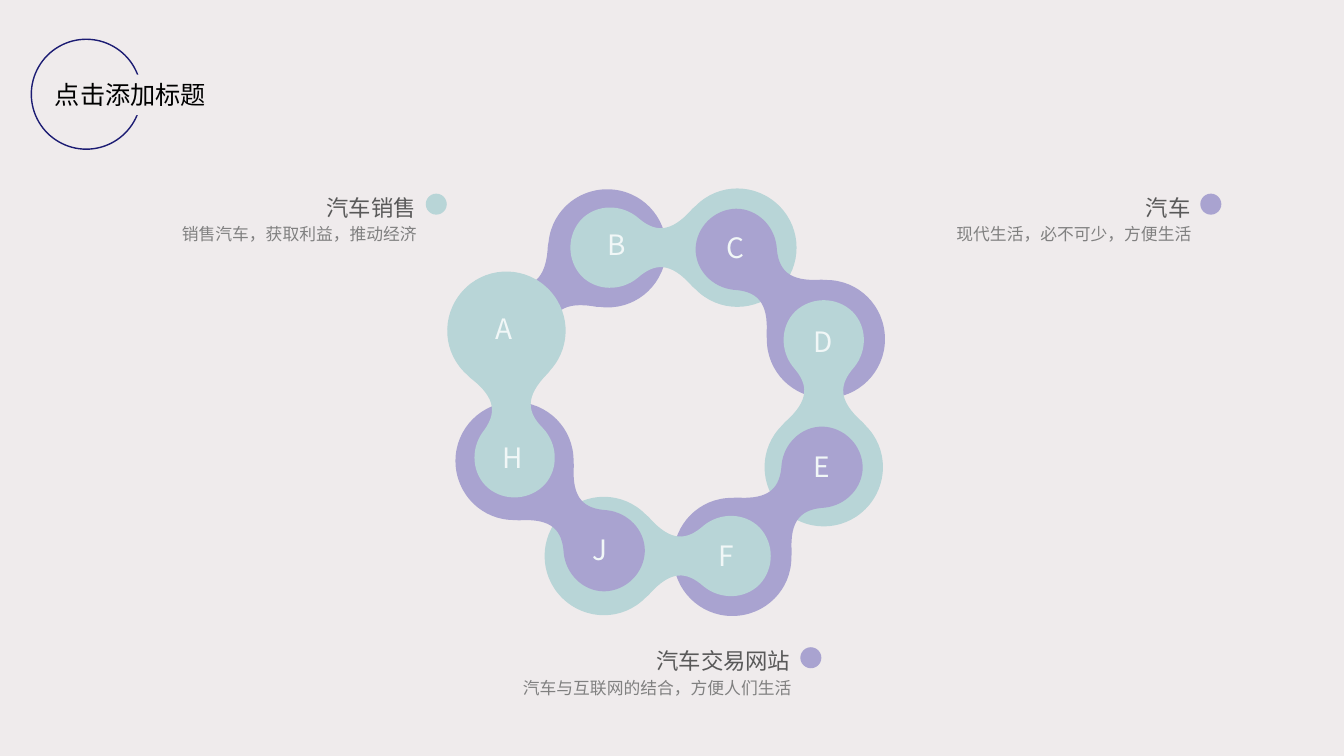
import math
import pptx
import pptx.dml.color
import pptx.enum.shapes
import pptx.enum.text
import pptx.oxml.ns
import pptx.util
import lxml.etree

Cm = pptx.util.Cm
Pt = pptx.util.Pt
RGBColor = pptx.dml.color.RGBColor
Shape = pptx.enum.shapes.MSO_SHAPE
Fit = pptx.enum.text.MSO_AUTO_SIZE
Side = pptx.enum.text.PP_ALIGN
Anchor = pptx.enum.text.MSO_ANCHOR
qn = pptx.oxml.ns.qn

PAPER = RGBColor(0xEF, 0xEB, 0xEC)
NAVY = RGBColor(0x1C, 0x1C, 0x73)
BLACK = RGBColor(0, 0, 0)
LILAC = RGBColor(0xA9, 0xA3, 0xD0)
MINT = RGBColor(0xB8, 0xD5, 0xD7)
WHITE = RGBColor(0xF1, 0xF7, 0xF7)
DARK = RGBColor(0x59, 0x59, 0x59)
GREY = RGBColor(0x80, 0x80, 0x80)
FACE = "Noto Sans CJK SC"

HALF = [(-1.09, 0.32), (-0.71, 0.72), (-0.33, 1.1), (0.28, 1.1), (0.69, 0.77),
        (1.12, 0.39), (1.52, 0.34), (2.08, 0.98), (2.11, 1), (2.13, 1.03),
        (2.16, 1.05), (2.74, 1.64), (3.68, 1.64), (4.27, 1.05), (4.85, 0.47)]
LINKS = [(1.54, 3.51, -38.5), (4.12, 1.49, 0), (7.29, 1.52, 45), (9.51, 3.81, 90),
         (9.48, 7.01, 135), (7.18, 9.26, 180), (3.99, 9.14, 225), (1.72, 6.79, 266.3)]
MARKS = [("C", 6.81, 0.99, 1.02), ("F", 6.61, 8.76, 1.07), ("E", 8.99, 6.5, 1.02),
         ("D", 8.99, 3.35, 1.02), ("A", 0.97, 3.02, 1.14), ("H", 1.15, 6.27, 1.14),
         ("J", 3.43, 8.59, 1.07), ("B", 3.81, 0.91, 0.66)]
NOTES = [((12.22, 16.18), "汽车交易网站", "汽车与互联网的结合，方便人们生活", LILAC),
         ((2.78, 4.75), "汽车销售", "销售汽车，获取利益，推动经济", MINT),
         ((22.3, 4.75), "汽车", "现代生活，必不可少，方便生活", LILAC)]


def apply(item, style):
    for name, value in style.items():
        setattr(item, name, value)


def margins(size):
    return {f"margin_{side}": Cm(size) for side in ("left", "top", "right", "bottom")}


def write(shape, text, size, color, frame, para):
    apply(shape.text_frame, frame)
    line = shape.text_frame.paragraphs[0]
    apply(line, para)
    run = line.add_run()
    run.text = text
    apply(run.font, {"size": Pt(size), "name": FACE})
    run.font.color.rgb = color
    east = lxml.etree.SubElement(run.font._element, qn("a:ea"))
    east.set("typeface", FACE)


def paint(shape, color):
    shape.shadow.inherit = False
    shape.fill.solid()
    shape.fill.fore_color.rgb = color
    shape.line.fill.background()


def bend(curve, t):
    parts = ((1 - t) ** 3, 3 * t * (1 - t) ** 2, 3 * t * t * (1 - t), t ** 3)
    return [sum(p * c[axis] for p, c in zip(parts, curve)) for axis in (0, 1)]


def add_link(slide, x, y, angle, color):
    cos, sin = math.cos(math.radians(angle)), math.sin(math.radians(angle))
    loop = HALF + [(u, -v) for u, v in reversed(HALF)]
    loop = [(Cm(x + u * cos - v * sin), Cm(y + u * sin + v * cos))
            for u, v in loop[1:] + loop[:2]]
    dots = [bend(loop[i:i + 4], step / 20) for i in range(0, 30, 3) for step in range(20)]
    low, high = [[int(pick(axis)) for axis in zip(*dots)] for pick in (min, max)]
    pen = slide.shapes.build_freeform(*low)
    pen.add_line_segments([high], close=True)
    shape = pen.convert_to_shape()
    route = shape.element.find(".//" + qn("a:path"))
    route[:] = []
    for start in range(-3, 30, 3):
        first = start < 0
        curve = lxml.etree.SubElement(route, qn("a:moveTo" if first else "a:cubicBezTo"))
        for u, v in loop[:1] if first else loop[start + 1:start + 4]:
            spot = lxml.etree.SubElement(curve, qn("a:pt"))
            spot.set("x", str(u - low[0]))
            spot.set("y", str(v - low[1]))
    lxml.etree.SubElement(route, qn("a:close"))
    paint(shape, color)


def add_title(slide, left, top):
    title = slide.shapes.title
    ring = slide.shapes.add_shape(Shape.OVAL, Cm(left), Cm(top), Cm(2.77), Cm(2.77))
    ring.shadow.inherit = False
    ring.fill.background()
    ring.line.color.rgb = NAVY
    ring.line.width = Pt(1)
    title.element.addprevious(ring.element)
    apply(title, {"left": Cm(left + 0.34), "top": Cm(top + 0.89),
                  "width": Cm(4.37), "height": Cm(1.02)})
    paint(title, PAPER)
    write(title, "点击添加标题", 18, BLACK,
          {"word_wrap": False, "auto_size": Fit.NONE,
           "vertical_anchor": Anchor.TOP}, {"alignment": Side.LEFT})


def add_chain(slide, left, top):
    for rank, (x, y, angle) in enumerate(LINKS):
        add_link(slide, left + x, top + y, angle, MINT if rank % 2 else LILAC)
    for mark, x, y, width in MARKS:
        box = slide.shapes.add_textbox(Cm(left + x), Cm(top + y), Cm(width), Cm(0.99))
        write(box, mark, 20, WHITE,
              {"word_wrap": True, "vertical_anchor": Anchor.MIDDLE, **margins(0.26)}, {})


def add_note(slide, left, top, head, body, color):
    dot = slide.shapes.add_shape(Shape.ROUNDED_RECTANGLE, Cm(left + 7.95),
                                 Cm(top + 0.13), Cm(0.53), Cm(0.53))
    dot.adjustments[0] = 0.5
    paint(dot, color)
    frame = {"word_wrap": True, "auto_size": Fit.SHAPE_TO_FIT_TEXT, **margins(0)}
    rows = [(head, 16, DARK, 0, 0, 0.81, {"line_spacing": 1.2, "space_before": Pt(17)}),
            (body, 12, GREY, 0.06, 0.9, 0.51, {"space_before": Pt(8.5)})]
    for text, size, ink, x, y, high, para in rows:
        box = slide.shapes.add_textbox(Cm(left + x), Cm(top + y), Cm(7.7 - x / 2), Cm(high))
        write(box, text, size, ink, frame, {"alignment": Side.RIGHT, **para})


def main():
    deck = pptx.Presentation()
    apply(deck, {"slide_width": Cm(33.87), "slide_height": Cm(19.05)})
    slide = deck.slides.add_slide(deck.slide_layouts[5])
    slide.background.fill.solid()
    slide.background.fill.fore_color.rgb = PAPER
    add_title(slide, 0.79, 0.99)
    add_chain(slide, 11.25, 4.75)
    for (left, top), head, body, color in NOTES:
        add_note(slide, left, top, head, body, color)
    deck.save("out.pptx")


if __name__ == "__main__":
    main()
